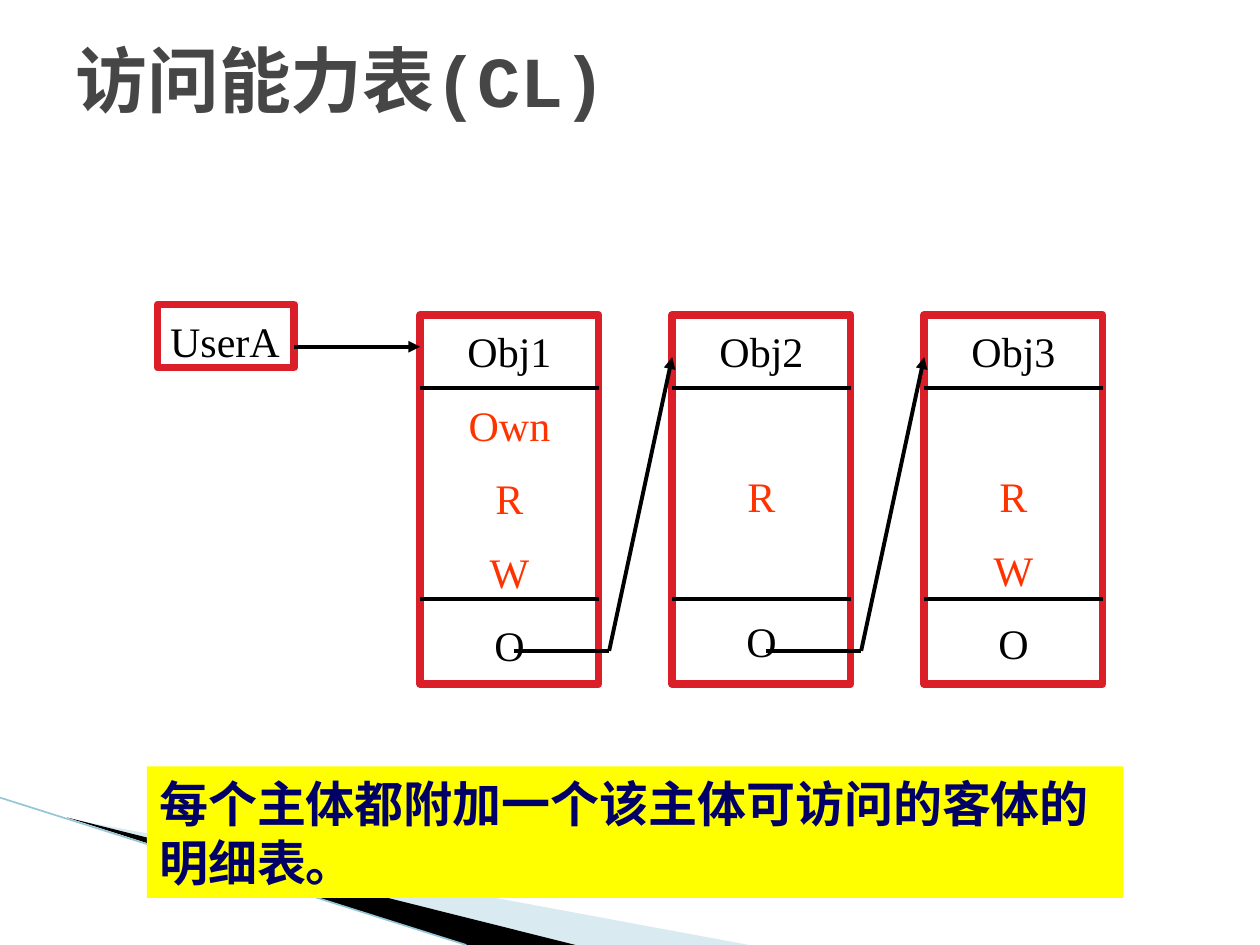
from lxml import etree
from pptx import Presentation
from pptx.dml.color import RGBColor
from pptx.enum.shapes import MSO_CONNECTOR, MSO_SHAPE
from pptx.enum.text import MSO_ANCHOR, PP_ALIGN
from pptx.oxml.ns import qn
from pptx.util import Cm, Pt

TITLE = "访问能力表(CL)"
SUBJECT = "UserA"
SUMMARY = "每个主体都附加一个该主体可访问的客体的明细表。"
OBJECTS = [
    ("Obj1", ["Own", "R", "W"], "O"),
    ("Obj2", ["", "R", ""], "O"),
    ("Obj3", ["", "R", "W"], "O"),
]
SWOOSHES = [
    ([(1.4, 16.51), (15.1, 19.05), (11.55, 19.05)], "A0CBDC", 40),
    ([(1.35, 16.48), (11.6, 19.05), (9.4, 19.05)], "000000", 100),
]

BLACK, WHITE, RED, RIGHT_COLOR = "000000", "FFFFFF", "DA1F28", "FF3300"
SERIF = "Times New Roman"
COLUMN_LEFT, COLUMN_TOP, COLUMN_PITCH = 8.47, 6.35, 5.08
COLUMN_WIDTH, COLUMN_HEIGHT = 3.6, 7.44
DIVIDERS = (7.83, 12.07)
LINK_Y, LINK_TIP_Y, SUBJECT_ARROW_Y = 13.12, 7.2, 6.99
ROW_GAP, ROW_PITCH = 13.2, 40.8


def rgb(color):
    return RGBColor.from_string(color)


def style(paragraph, size, color, font=SERIF, bold=False):
    for run in paragraph.runs:
        run.font.size = Pt(size)
        run.font.name = font
        run.font.bold = bold
        run.font.color.rgb = rgb(color)


def add_box(slide, left, top, width, height, fill, outline=None):
    box = slide.shapes.add_shape(
        MSO_SHAPE.RECTANGLE, Cm(left), Cm(top), Cm(width), Cm(height))
    box.shadow.inherit = False
    box.fill.solid()
    box.fill.fore_color.rgb = rgb(fill)
    if outline:
        box.line.color.rgb = rgb(outline)
        box.line.width = Pt(4.33)
    else:
        box.line.fill.background()
    frame = box.text_frame
    frame.word_wrap = True
    frame.vertical_anchor = MSO_ANCHOR.TOP
    frame.margin_top = Cm(0.22)
    frame.paragraphs[0].alignment = PP_ALIGN.LEFT
    return frame


def add_line(slide, start, end, color=BLACK, width=2.25, arrow=False):
    line = slide.shapes.add_connector(
        MSO_CONNECTOR.STRAIGHT, *(Cm(value) for value in (*start, *end)))
    line.line.color.rgb = rgb(color)
    line.line.width = Pt(width)
    if arrow:
        etree.SubElement(line.line._get_or_add_ln(), qn("a:tailEnd"), type="triangle")
    etree.SubElement(line._element.spPr, qn("a:effectLst"))


def add_swoosh(slide, points, color, opacity):
    start, *rest = [(Cm(x), Cm(y)) for x, y in points]
    builder = slide.shapes.build_freeform(*start)
    builder.add_line_segments(rest, close=True)
    swoosh = builder.convert_to_shape()
    swoosh.shadow.inherit = False
    swoosh.fill.solid()
    swoosh.fill.fore_color.rgb = rgb(color)
    swoosh.line.fill.background()
    if opacity < 100:
        fill_color = swoosh._element.spPr.find(".//" + qn("a:srgbClr"))
        etree.SubElement(fill_color, qn("a:alpha"), val=str(opacity * 1000))


def add_object(slide, left, heading, rights, pointer):
    frame = add_box(slide, left, COLUMN_TOP, COLUMN_WIDTH, COLUMN_HEIGHT, WHITE, RED)
    rows = [(heading, BLACK), *((right, RIGHT_COLOR) for right in rights), (pointer, BLACK)]
    filled = [(index, *row) for index, row in enumerate(rows) if row[0]]
    frame.text = "\n".join(text for _, text, _ in filled)
    previous = 0
    for paragraph, (index, _, color) in zip(frame.paragraphs, filled):
        paragraph.alignment = PP_ALIGN.CENTER
        skipped = max(index - previous - 1, 0)
        paragraph.space_before = Pt(ROW_GAP + skipped * ROW_PITCH if index else 0)
        style(paragraph, 24, color)
        previous = index
    for y in DIVIDERS:
        add_line(slide, (left, y), (left + COLUMN_WIDTH, y))


def main():
    deck = Presentation()
    deck.slide_width, deck.slide_height = Cm(25.4), Cm(19.05)
    slide = deck.slides.add_slide(deck.slide_layouts[5])

    for swoosh in SWOOSHES:
        add_swoosh(slide, *swoosh)
    add_line(slide, (0, 16.08), (9.4, 19.05), "97C5D8", 0.95)

    title = slide.shapes.title
    title.left, title.top, title.width, title.height = Cm(1.27), Cm(0), Cm(22.86), Cm(3.18)
    title.text_frame.text = TITLE
    title.text_frame.vertical_anchor = MSO_ANCHOR.MIDDLE
    heading = title.text_frame.paragraphs[0]
    heading.alignment = PP_ALIGN.LEFT
    style(heading, 41, "464646", "Courier New", True)

    lefts = [COLUMN_LEFT + index * COLUMN_PITCH for index in range(len(OBJECTS))]
    for left, entry in zip(lefts, OBJECTS):
        add_object(slide, left, *entry)

    subject = add_box(slide, 3.18, 6.14, 2.75, 1.27, WHITE, RED)
    subject.word_wrap = False
    subject.text = SUBJECT
    style(subject.paragraphs[0], 24, BLACK)
    add_line(slide, (5.93, SUBJECT_ARROW_Y), (COLUMN_LEFT, SUBJECT_ARROW_Y), arrow=True)

    for left, next_left in zip(lefts, lefts[1:]):
        corner = (left + 3.81, LINK_Y)
        add_line(slide, (left + 1.9, LINK_Y), corner)
        add_line(slide, corner, (next_left, LINK_TIP_Y), arrow=True)

    summary = add_box(slide, 2.96, 15.45, 19.69, 2.65, "FFFF00")
    summary.margin_top = Cm(0.13)
    summary.vertical_anchor = MSO_ANCHOR.MIDDLE
    summary.text = SUMMARY
    style(summary.paragraphs[0], 28, "000066", bold=True)

    deck.save("out.pptx")


if __name__ == "__main__":
    main()
